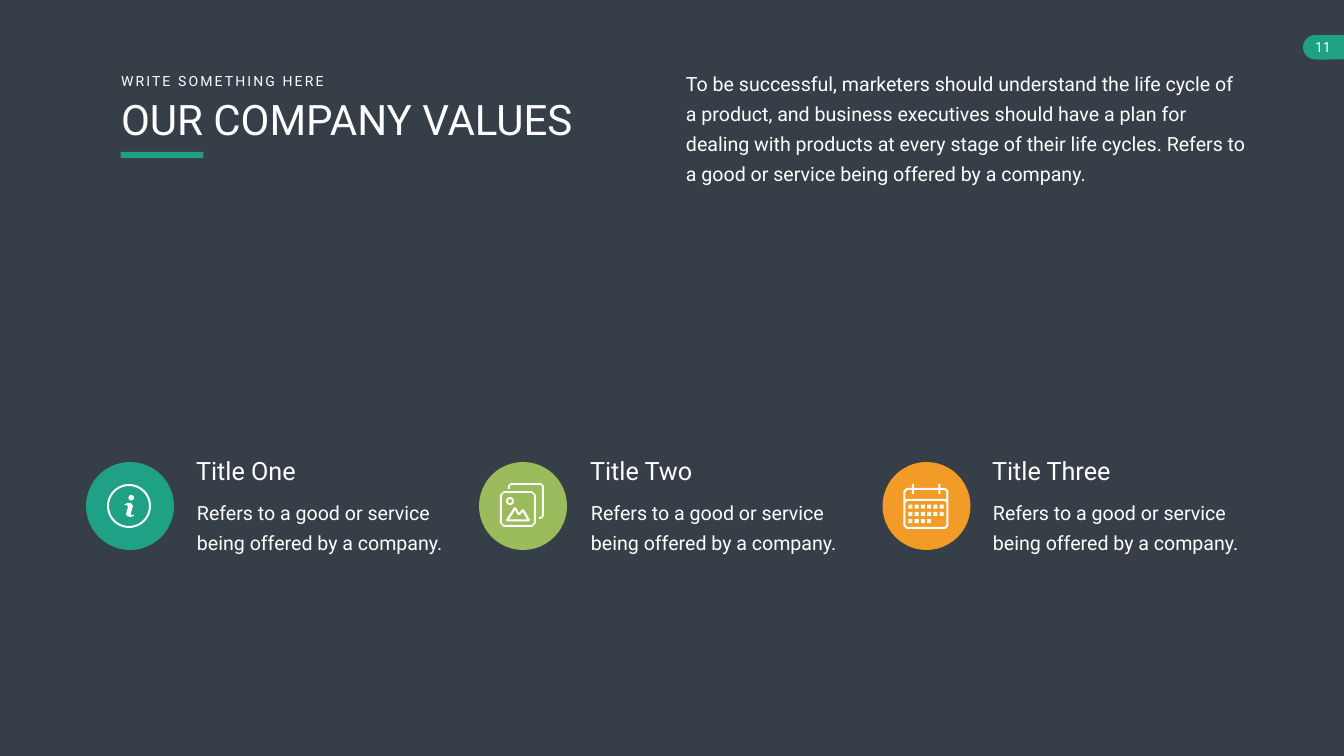
import math

import pptx
import pptx.util
import pptx.dml.color
import pptx.enum.shapes
import pptx.enum.text
import pptx.oxml.ns
import lxml.etree

PX = 914400 / 50.4
SHAPE = pptx.enum.shapes.MSO_SHAPE
ALIGN = pptx.enum.text.PP_ALIGN
HEX = {"back": "363E48", "white": "FFFFFF", "teal": "1EA185",
       "green": "9BBB5C", "orange": "F29B26"}

HEAD = "OUR COMPANY VALUES"
KICKER = "WRITE SOMETHING HERE"
INTRO = ("To be successful, marketers should understand the life cycle of "
         "a product, and business executives should have a plan for dealing "
         "with products at every stage of their life cycles. Refers to a good "
         "or service being offered by a company.")
BODY = "Refers to a good or service being offered by a company."
PAGE = "11"

SMALL = {"size": pptx.util.Pt(20)}
TEXT = {"size": pptx.util.Pt(28)}
LABEL = {"size": pptx.util.Pt(36)}
LARGE = {"size": pptx.util.Pt(60)}
WIDE = (12, 6)
NORMAL = (5, 2.5)


def disc(x, y, size):
    """List the points of a round outline."""
    rad = size / 2
    count = 40 if size > 20 else 16
    turns = [2 * math.pi * i / count for i in range(count)]
    return [(x + rad + rad * math.cos(t), y + rad + rad * math.sin(t))
            for t in turns]


def box(x, y, w, h, cut=0):
    """List the points of a box, with its corners cut if asked."""
    if not cut:
        return [(x, y), (x + w, y), (x + w, y + h), (x, y + h)]
    return [(x + cut, y), (x + w - cut, y), (x + w, y + cut),
            (x + w, y + h - cut), (x + w - cut, y + h), (x + cut, y + h),
            (x, y + h - cut), (x, y + cut)]


# icon outlines, in px from the corner of the icon; an inner one is a hole
STEM = [(17, 21), (20, 19), (24, 19), (26, 22), (24, 29), (24, 31), (27, 31),
        (27, 32), (23, 33), (20, 32), (19, 30), (21, 23), (20, 21)]
REAR = [(8, 6), (8, 3), (11, 0), (41, 0), (44, 3), (44, 33), (41, 36),
        (39, 36), (39, 34), (41, 34), (42, 33), (42, 3), (41, 2), (11, 2),
        (10, 3), (10, 6)]
PEAKS = [(6, 37), (14, 24.5), (16, 24.5), (19, 30), (22, 26.5), (24, 26.5),
         (30, 37), (29, 38.5), (7, 38.5)]
VALLEY = [(9, 36.5), (15, 27), (18, 32), (20, 32), (23, 29), (27, 36.5)]
COVER = [(0, 7), (3, 4), (8.5, 4), (8.5, 0), (10.5, 0), (10.5, 4), (35, 4),
         (35, 0), (37, 0), (37, 4), (42, 4), (45, 7), (45, 42), (42, 45),
         (3, 45), (0, 42)]
STRIP = [(2, 15), (2, 8), (4, 6), (8.5, 6), (8.5, 10), (10.5, 10), (10.5, 6),
         (35, 6), (35, 10), (37, 10), (37, 6), (41, 6), (43, 8), (43, 15)]
DAYS = [(6, 20.75), (6, 28), (4, 35.25)]  # cells in the row, top of the row

INFO = [disc(0, 0, 44), disc(2, 2, 40), disc(21.5, 11, 5.5), STEM]
PHOTO = [REAR, box(0, 8, 36, 36, 4), box(2, 10, 32, 32, 2),
         disc(6, 14, 8), disc(8, 16, 4), PEAKS, VALLEY]
DATES = [COVER, STRIP, box(2, 17, 41, 26, 2)] + [
    box(5 + col * 6.25, top, 4, 4) for count, top in DAYS
    for col in range(count)]

# title, colour, badge left, text left, icon, icon top
VALUES = [("Title One", "teal", 86, 185, INFO, 484),
          ("Title Two", "green", 479, 579, PHOTO, 483),
          ("Title Three", "orange", 882.5, 981, DATES, 484)]
BADGE, INSET, TOP = 88, 21, 462


def emu(*vals):
    return [round(v * PX) for v in vals]


def color(name):
    return pptx.dml.color.RGBColor.from_string(HEX[name])


def paint(shape, fill):
    shape.shadow.inherit = False
    shape.fill.solid()
    shape.fill.fore_color.rgb = color(fill)
    shape.line.fill.background()
    return shape


def draw(kind, spot, fill):
    return paint(slide.shapes.add_shape(kind, *emu(*spot)), fill)


def trace(x, y, rings):
    """Draw all outlines of an icon as one white shape."""
    pen = None
    for ring in rings:
        first, *rest = [emu(x + a, y + b) for a, b in ring]
        if pen:
            pen.move_to(*first)
        else:
            pen = slide.shapes.build_freeform(*first)
        pen.add_line_segments(rest, close=True)
    paint(pen.convert_to_shape(), "white")


def write(shape, text, font, pad=NORMAL, align=ALIGN.LEFT, lead=None):
    side, rim = emu(*pad)
    style = {"word_wrap": True, "margin_left": side, "margin_right": side,
             "margin_top": rim, "margin_bottom": rim,
             "auto_size": pptx.enum.text.MSO_AUTO_SIZE.NONE,
             "vertical_anchor": pptx.enum.text.MSO_ANCHOR.TOP}
    for key, val in style.items():
        setattr(shape.text_frame, key, val)
    para = shape.text_frame.paragraphs[0]
    para.alignment = align
    if lead:
        para.line_spacing = pptx.util.Pt(lead)
    run = para.add_run()
    run.text = text
    for key, val in {"name": "Roboto", **font}.items():
        setattr(run.font, key, val)
    run.font.color.rgb = color("white")
    return run


def label(spot, *args, **more):
    return write(slide.shapes.add_textbox(*emu(*spot)), *args, **more)


deck = pptx.Presentation()
deck.slide_width, deck.slide_height = emu(1344, 756)
slide = deck.slides.add_slide(deck.slide_layouts[5])
slide.background.fill.solid()
slide.background.fill.fore_color.rgb = color("back")

draw(SHAPE.FLOWCHART_DELAY, (1303, 35, 25, 24.5), "teal").rotation = 180
draw(SHAPE.RECTANGLE, (1328, 35, 16, 24.5), "teal")
label((1303, 34, 40, 27), PAGE, SMALL, pad=(0, 5), align=ALIGN.CENTER)

panel = draw(SHAPE.RECTANGLE, (0, 256, 1344, 500), "back")
tint = panel._element.spPr.find(".//" + pptx.oxml.ns.qn("a:srgbClr"))
lxml.etree.SubElement(tint, pptx.oxml.ns.qn("a:alpha"), val="80000")

title = slide.shapes.title
title.left, title.top, title.width, title.height = emu(116, 91, 506, 56)
write(title, HEAD, LARGE)
kicker = label((116, 70, 219, 22), KICKER, SMALL)
kicker.font._element.set("spc", "300")
draw(SHAPE.RECTANGLE, (120.5, 152, 83, 6), "teal")
label((674, 59, 584, 131), INTRO, TEXT, pad=WIDE, lead=43)

for name, fill, left, start, icon, top in VALUES:
    draw(SHAPE.OVAL, (left, TOP, BADGE, BADGE), fill)
    trace(left + INSET, top, icon)
    label((start + 6, TOP - 9, 134, 36), name, LABEL)
    label((start, TOP + 26, 277, 70), BODY, TEXT, pad=WIDE, lead=43)

deck.save("out.pptx")
